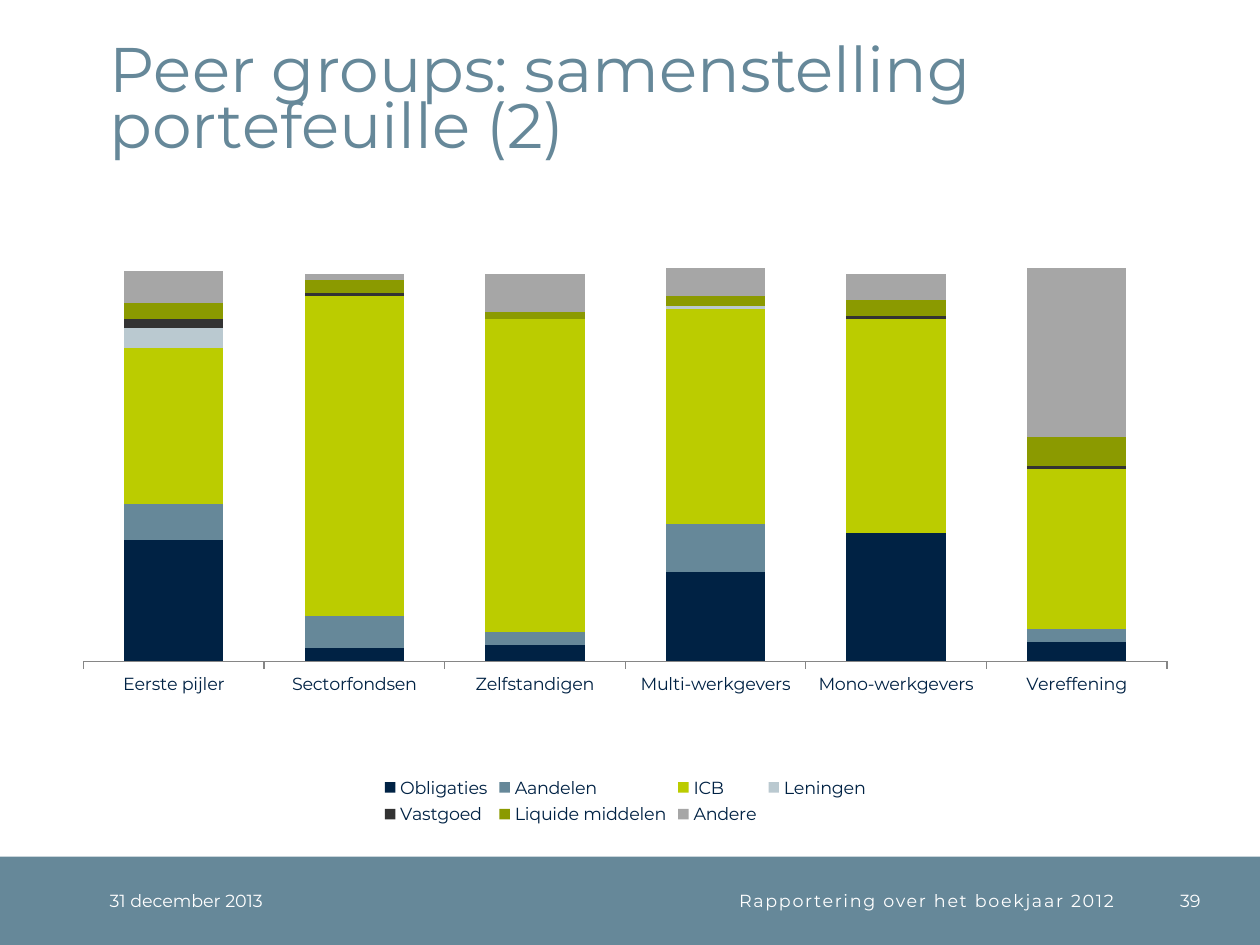
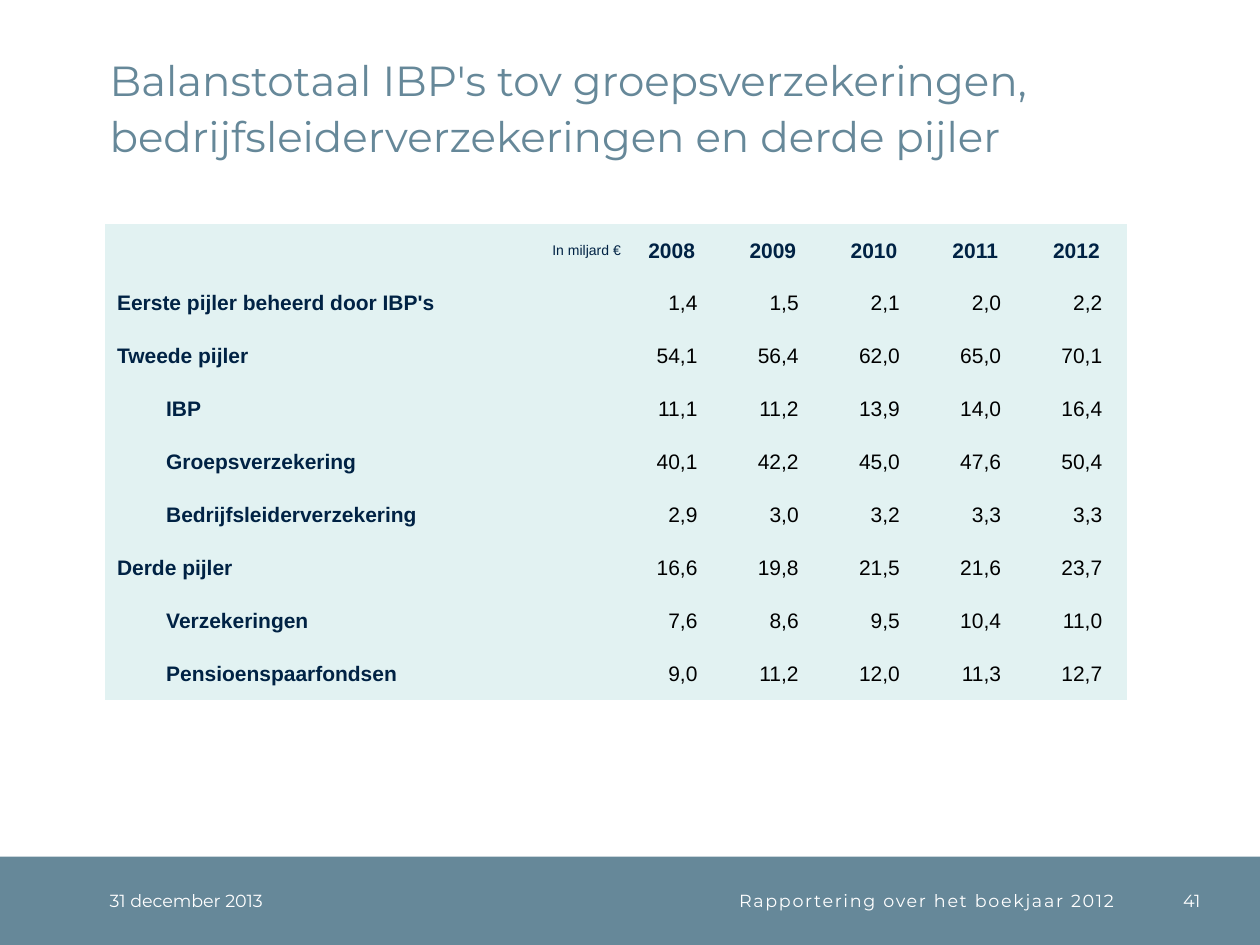
"""Build two slides on the pension peer groups and balance totals."""
from dataclasses import dataclass

from pptx import Presentation
from pptx import util as u
from pptx.chart import data
from pptx.dml.color import RGBColor
from pptx.enum import chart as charts
from pptx.enum import shapes, text
from pptx.oxml import ns, parse_xml
from pptx.slide import Slide

COLOURS = {
    "navy": "002244",
    "steel": "668899",
    "lime": "BBCC00",
    "mist": "BAC9D0",
    "charcoal": "333333",
    "olive": "8B9A00",
    "grey": "A6A6A6",
    "axis": "868686",
    "table": "E2F2F2",
    "white": "FFFFFF",
    "black": "000000",
}
HEADING_FONT = "Montserrat"
TABLE_FONT = "Arial"
NO_TABLE_STYLE = "{2D5ABB26-0587-4C30-8999-92F81FD0307C}"
LEFT, CENTER, RIGHT = text.PP_ALIGN.LEFT, text.PP_ALIGN.CENTER, text.PP_ALIGN.RIGHT
BAND_TOP, BAND_HEIGHT = 17.27, 1.78


@dataclass(frozen=True)
class Style:
    """Look of one paragraph."""
    size: float
    colour: str
    font: str = HEADING_FONT
    bold: bool = False
    align: int = LEFT
    line_points: float = 0
    tracking: int = 0


@dataclass(frozen=True)
class FooterItem:
    """One piece of text in the bottom band, in centimetres."""
    left: float
    width: float
    wording: str
    align: int = LEFT
    tracking: int = 0


@dataclass(frozen=True)
class Series:
    """One layer of the stacked columns."""
    name: str
    colour: str
    values: tuple[int, ...]


@dataclass(frozen=True)
class BalanceRow:
    """One line of the balance table."""
    label: str
    values: str
    indent: float = 0.25


DATE = FooterItem(2.21, 4.5, "31 december 2013")
REPORT = FooterItem(6.71, 15.75, "Rapportering over het boekjaar 2012", RIGHT, 100)

PEER_GROUPS = ("Eerste pijler", "Sectorfondsen", "Zelfstandigen",
               "Multi-werkgevers", "Mono-werkgevers", "Vereffening")
PORTFOLIO = (
    Series("Obligaties", "navy", (38, 4, 5, 28, 40, 6)),
    Series("Aandelen", "steel", (11, 10, 4, 15, 0, 4)),
    Series("ICB", "lime", (49, 100, 98, 67, 67, 50)),
    Series("Leningen", "mist", (6, 0, 0, 1, 0, 0)),
    Series("Vastgoed", "charcoal", (3, 1, 0, 0, 1, 1)),
    Series("Liquide middelen", "olive", (5, 4, 2, 3, 5, 9)),
    Series("Andere", "grey", (10, 2, 12, 9, 8, 53)),
)

YEARS = ("2008", "2009", "2010", "2011", "2012")
SUB_INDENT = 1.24
BALANCE = (
    BalanceRow("Eerste pijler beheerd door IBP's", "1,4 1,5 2,1 2,0 2,2"),
    BalanceRow("Tweede pijler", "54,1 56,4 62,0 65,0 70,1"),
    BalanceRow("IBP", "11,1 11,2 13,9 14,0 16,4", SUB_INDENT),
    BalanceRow("Groepsverzekering", "40,1 42,2 45,0 47,6 50,4", SUB_INDENT),
    BalanceRow("Bedrijfsleiderverzekering", "2,9 3,0 3,2 3,3 3,3", SUB_INDENT),
    BalanceRow("Derde pijler", "16,6 19,8 21,5 21,6 23,7"),
    BalanceRow("Verzekeringen", "7,6 8,6 9,5 10,4 11,0", SUB_INDENT),
    BalanceRow("Pensioenspaarfondsen", "9,0 11,2 12,0 11,3 12,7", SUB_INDENT),
)


def rgb(name: str) -> RGBColor:
    """Look up a named colour."""
    return RGBColor.from_string(COLOURS[name])


def write(frame, wording: str, style: Style) -> None:
    """Put one styled paragraph in a text frame."""
    para = frame.paragraphs[0]
    para.text = wording
    para.alignment = style.align
    if style.line_points:
        para.line_spacing = u.Pt(style.line_points)
    para.font.name = style.font
    para.font.size = u.Pt(style.size)
    para.font.bold = style.bold
    para.font.color.rgb = rgb(style.colour)
    if style.tracking:
        para.runs[0].font._element.set("spc", str(style.tracking))


def add_text(page: Slide, place: tuple[float, ...], wording: str, style: Style,
             anchor: int = text.MSO_ANCHOR.MIDDLE) -> None:
    """Add a text box without margins."""
    frame = page.shapes.add_textbox(*map(u.Cm, place)).text_frame
    frame.word_wrap = True
    frame.vertical_anchor = anchor
    frame.margin_left = frame.margin_right = frame.margin_top = frame.margin_bottom = 0
    write(frame, wording, style)


def add_page(deck, title: str, title_size: float, number: int) -> Slide:
    """Add a slide with its title, band and footer."""
    page = deck.slides.add_slide(deck.slide_layouts[6])
    band = page.shapes.add_shape(shapes.MSO_SHAPE.RECTANGLE, 0, u.Cm(BAND_TOP),
                                 deck.slide_width, u.Cm(BAND_HEIGHT))
    band.shadow.inherit = False
    band.fill.solid()
    band.fill.fore_color.rgb = rgb("steel")
    band.line.fill.background()
    add_text(page, (2.21, 0.51, 21.92, 2.74), title,
             Style(title_size, "steel", line_points=32), text.MSO_ANCHOR.BOTTOM)
    for item in (DATE, REPORT, FooterItem(22.96, 1.24, str(number), RIGHT)):
        add_text(page, (item.left, BAND_TOP, item.width, BAND_HEIGHT), item.wording,
                 Style(10, "white", align=item.align, tracking=item.tracking))
    return page


def set_layout(parent, index: int, x: float, y: float, w: float, h: float,
               target: str = "") -> None:
    """Fix a chart part at fractions of the chart area."""
    for old in parent.findall(ns.qn("c:layout")):
        parent.remove(old)
    marks = "".join(f'<c:{tag} val="{value}"/>' for tag, value in (
        ("xMode", "edge"), ("yMode", "edge"), ("x", x), ("y", y), ("w", w), ("h", h)))
    parent.insert(index, parse_xml(
        f'<c:layout {ns.nsdecls("c")}><c:manualLayout>{target}{marks}'
        "</c:manualLayout></c:layout>"))


def add_portfolio_chart(page: Slide) -> None:
    """Add the stacked columns of portfolio shares by peer group."""
    content = data.CategoryChartData()
    content.categories = PEER_GROUPS
    for series in PORTFOLIO:
        content.add_series(series.name, series.values)
    chart = page.shapes.add_chart(charts.XL_CHART_TYPE.COLUMN_STACKED, u.Cm(1.3), u.Cm(3.53),
                                  u.Cm(22.61), u.Cm(13.21), content).chart
    chart.has_title = False
    chart.font.name = HEADING_FONT
    chart.font.size = u.Pt(10)
    chart.font.color.rgb = rgb("navy")

    plot = chart.plots[0]
    plot.gap_width, plot.overlap = 82, 100
    plot.vary_by_categories = False
    for drawn, series in zip(plot.series, PORTFOLIO):
        drawn.format.fill.solid()
        drawn.format.fill.fore_color.rgb = rgb(series.colour)

    chart.category_axis.major_tick_mark = charts.XL_TICK_MARK.OUTSIDE
    chart.category_axis.format.line.color.rgb = rgb("axis")
    shares = chart.value_axis
    shares.minimum_scale, shares.maximum_scale = 0, 146
    shares.has_major_gridlines = False
    shares.tick_labels.number_format = "0.00%"
    shares.tick_labels.number_format_is_linked = False
    shares.visible = False

    chart.has_legend = True
    chart.legend.position = charts.XL_LEGEND_POSITION.BOTTOM
    chart.legend.include_in_layout = False
    set_layout(chart.legend._element, 1, 0.28, 0.91, 0.44, 0.09)
    set_layout(plot._element.getparent(), 0, 0.017, 0.029, 0.966, 0.713,
               '<c:layoutTarget val="inner"/>')


def fill_cell(cell, wording: str, style: Style, left: float = 0, right: float = 0) -> None:
    """Shade one table cell and write in it."""
    cell.fill.solid()
    cell.fill.fore_color.rgb = rgb("table")
    cell.vertical_anchor = text.MSO_ANCHOR.MIDDLE
    cell.margin_left, cell.margin_right = u.Cm(left), u.Cm(right)
    cell.margin_top = cell.margin_bottom = 0
    write(cell.text_frame, wording, style)


def add_balance_table(page: Slide) -> None:
    """Add the table of balance totals by pillar and year."""
    label_width, year_width = 10.41, 2.04
    table = page.shapes.add_table(len(BALANCE) + 1, len(YEARS) + 1, u.Cm(2.11), u.Cm(4.52),
                                  u.Cm(label_width + year_width * len(YEARS)),
                                  u.Cm(9.6)).table
    table.first_row = table.horz_banding = False
    table._tbl.tblPr.find(ns.qn("a:tableStyleId")).text = NO_TABLE_STYLE
    for index, column in enumerate(table.columns):
        column.width = u.Cm(year_width if index else label_width)

    label = Style(12, "navy", TABLE_FONT, bold=True)
    heading = Style(12, "navy", TABLE_FONT, bold=True, align=CENTER)
    amount = Style(12, "black", TABLE_FONT, align=RIGHT)
    fill_cell(table.cell(0, 0), "In miljard €", Style(8, "navy", TABLE_FONT, align=RIGHT), 0.25)
    for column, year in enumerate(YEARS, 1):
        fill_cell(table.cell(0, column), year, heading)
    for line, row in enumerate(BALANCE, 1):
        fill_cell(table.cell(line, 0), row.label, label, row.indent)
        for column, value in enumerate(row.values.split(), 1):
            fill_cell(table.cell(line, column), value, amount, right=0.5)


def main() -> None:
    """Build and save the deck."""
    deck = Presentation()
    deck.slide_width, deck.slide_height = u.Cm(25.4), u.Cm(19.05)
    add_portfolio_chart(add_page(deck, "Peer groups: samenstelling portefeuille (2)", 36, 39))
    add_balance_table(add_page(
        deck, "Balanstotaal IBP's tov groepsverzekeringen, "
              "bedrijfsleiderverzekeringen en derde pijler", 24, 41))
    deck.save("out.pptx")


if __name__ == "__main__":
    main()
